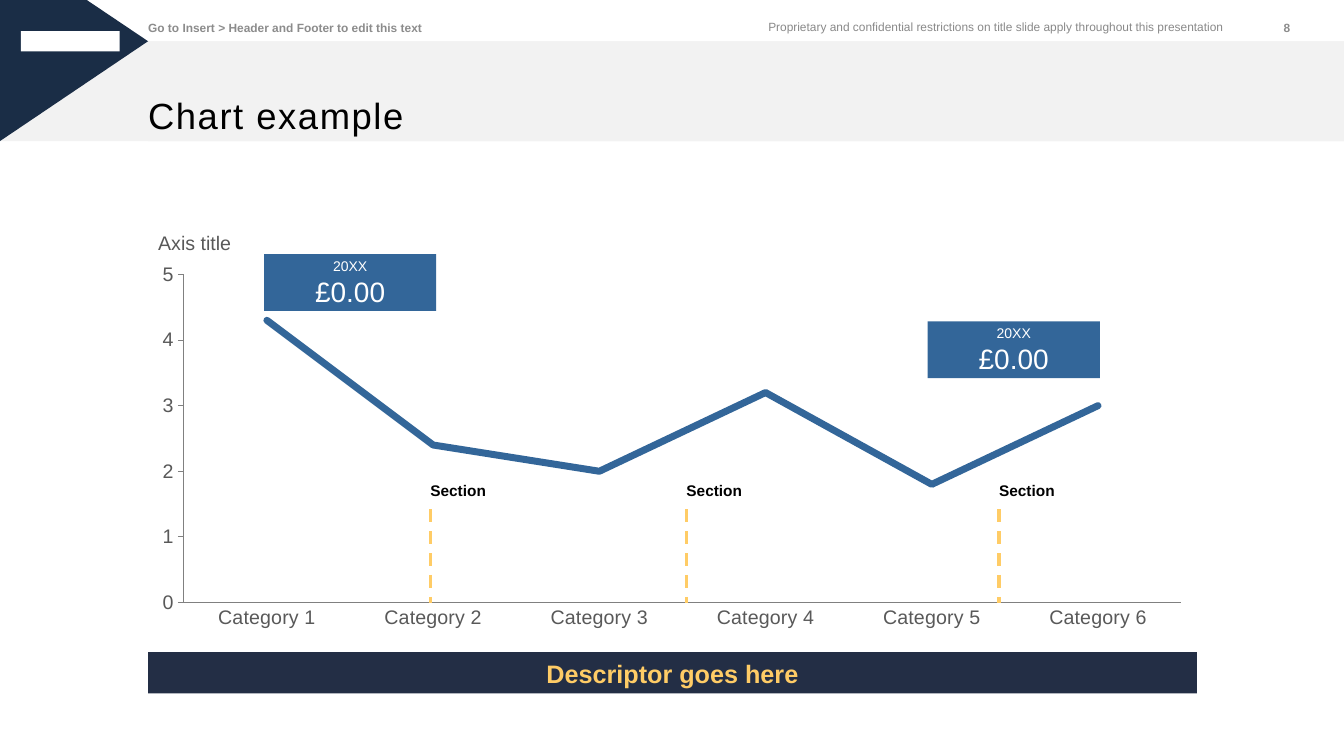
from lxml import etree
from pptx import Presentation
from pptx.chart.data import CategoryChartData
from pptx.dml.color import RGBColor
from pptx.enum.chart import XL_CHART_TYPE, XL_MARKER_STYLE, XL_TICK_MARK
from pptx.enum.dml import MSO_LINE
from pptx.enum.shapes import MSO_CONNECTOR, MSO_SHAPE
from pptx.enum.text import MSO_ANCHOR, MSO_AUTO_SIZE, PP_ALIGN
from pptx.oxml import parse_xml
from pptx.oxml.ns import nsdecls, qn
from pptx.util import Pt

FONT = "Arial"
C = {"white": "FFFFFF", "black": "000000", "band": "F2F2F2", "corner": "1A2D46",
     "navy": "232E45", "blue": "336699", "yellow": "FFCC66", "label": "595959",
     "axis": "808080", "notice": "898989", "footer": "8C8C8C"}


def rgb(name):
    return RGBColor.from_string(C[name])


def pts(*values):
    return [Pt(v) for v in values]


def set_font(font, size, color, bold=False):
    font.name, font.size, font.bold = FONT, Pt(size), bold
    font.color.rgb = rgb(color)


def write(tf, text, size, color, bold=False, align=PP_ALIGN.LEFT, spacing=None,
          gap=0, track=None, new=False):
    p = tf.add_paragraph() if new else tf.paragraphs[0]
    p.alignment, p.line_spacing = align, spacing
    p.space_before = p.space_after = Pt(gap)
    r = p.add_run()
    r.text = text
    set_font(r.font, size, color, bold)
    if track:
        r.font._element.set("spc", str(track))


def frame(tf, anchor=MSO_ANCHOR.TOP, insets=(0, 0, 0, 0)):
    tf.word_wrap, tf.auto_size = True, MSO_AUTO_SIZE.NONE
    tf.vertical_anchor = anchor
    tf.margin_left, tf.margin_top, tf.margin_right, tf.margin_bottom = pts(*insets)


def paint(sp, color):
    sp.shadow.inherit = False
    sp.fill.solid()
    sp.fill.fore_color.rgb = rgb(color)
    sp.line.fill.background()


def add_text(s, box, text, size, color, **fmt):
    tf = s.shapes.add_textbox(*pts(*box)).text_frame
    frame(tf)
    write(tf, text, size, color, **fmt)


def add_box(s, box, color):
    sp = s.shapes.add_shape(MSO_SHAPE.RECTANGLE, *pts(*box))
    paint(sp, color)
    frame(sp.text_frame, MSO_ANCHOR.MIDDLE, (7.2, 3.6, 7.2, 3.6))
    return sp


def add_header(s, box, title):
    x, y, w, h = box
    left, top, band_h = x + 105.8, y + 29.5, h - 29.5
    band = add_box(s, (x, top, w, band_h), "band")
    fb = s.shapes.build_freeform(Pt(x), Pt(y + h))
    fb.add_line_segments([pts(left, top), pts(x + 62, y), pts(x, y)], close=True)
    paint(fb.convert_to_shape(), "corner")
    add_box(s, (x + 15, y + 22.3, 70.5, 14.4), "white")
    add_text(s, (x + 436.3, y + 13.7, 437.8, 15),
             "Proprietary and confidential restrictions on title slide apply "
             "throughout this presentation",
             8.5, "notice", align=PP_ALIGN.RIGHT, spacing=1.02)
    add_text(s, (left, y + 14.4, 202.3, 12.2),
             "Go to Insert > Header and Footer to edit this text", 8.5, "footer", bold=True)
    add_text(s, (x + 894.2, y + 14.4, 27.4, 12.2), "8", 8.5, "footer", bold=True,
             align=PP_ALIGN.RIGHT)
    sp = s.shapes.title
    band.element.addnext(sp.element)
    sp.left, sp.top, sp.width, sp.height = pts(left, top, w - 105.8, band_h)
    paint(sp, "band")
    frame(sp.text_frame, MSO_ANCHOR.BOTTOM, (0, 0, 0, 2.9))
    write(sp.text_frame, title, 26, "black", track=110)


def add_line_chart(s, box, values):
    cd = CategoryChartData(number_format="General")
    cd.categories = [f"Category {i}" for i in range(1, len(values) + 1)]
    cd.add_series("Series 1", values)
    chart = s.shapes.add_chart(XL_CHART_TYPE.LINE, *pts(*box), cd).chart
    chart.has_legend = chart.has_title = False
    set_font(chart.font, 14, "black")
    plot = chart.plots[0]
    plot.vary_by_categories = False
    ser = plot.series[0]
    ser.smooth = False
    ser.marker.style = XL_MARKER_STYLE.NONE
    ser.format.line.color.rgb = rgb("blue")
    ser.format.line.width = Pt(5)
    ser.format.line._ln.set("cap", "rnd")
    for axis, tick in ((chart.category_axis, XL_TICK_MARK.NONE),
                       (chart.value_axis, XL_TICK_MARK.OUTSIDE)):
        axis.has_major_gridlines = False
        axis.major_tick_mark, axis.minor_tick_mark = tick, XL_TICK_MARK.NONE
        axis.format.line.color.rgb = rgb("axis")
        axis.format.line.width = Pt(0.75)
        set_font(axis.tick_labels.font, 14, "label")
    va = chart.value_axis
    va.minimum_scale, va.maximum_scale, va.major_unit = 0, 5, 1
    va.tick_labels.number_format = "0"
    va.tick_labels.number_format_is_linked = False
    area = plot._element.getparent()
    for old in area.findall(qn("c:layout")):
        area.remove(old)
    place = {"layoutTarget": "inner", "xMode": "edge", "yMode": "edge",
             "x": 0.034, "y": 0.107, "w": 0.951, "h": 0.806}
    inner = "".join(f'<c:{k} val="{v}"/>' for k, v in place.items())
    area.insert(0, parse_xml(f'<c:layout {nsdecls("c")}><c:manualLayout>{inner}'
                             '</c:manualLayout></c:layout>'))


def add_callout(s, box, year, amount):
    tf = add_box(s, box, "blue").text_frame
    for text, size, new in ((year, 10, False), (amount, 20, True)):
        write(tf, text, size, "white", align=PP_ALIGN.CENTER, spacing=1.02, new=new)


def add_section(s, box, text):
    x, y, w, h = box
    cx = s.shapes.add_connector(MSO_CONNECTOR.STRAIGHT, *pts(x, y + 20.2, x, y + h))
    cx.line.color.rgb = rgb("yellow")
    cx.line.width = Pt(2.25)
    cx.line.dash_style = MSO_LINE.DASH
    etree.SubElement(cx.element.spPr, qn("a:effectLst"))
    add_text(s, (x, y, w, 13), text, 11, "black", bold=True, spacing=1.02)


def add_chart_region(s, box):
    x, y, w, h = box
    add_line_chart(s, (x, y, w, 290.9), (4.3, 2.4, 2, 3.2, 1.8, 3))
    add_text(s, (x + 7.2, y, 113, 16.6), "Axis title", 14, "label", spacing=1.02)
    descriptor = add_box(s, (x, y + h - 29.5, w, 29.5), "navy")
    write(descriptor.text_frame, "Descriptor goes here", 18, "yellow", bold=True,
          align=PP_ALIGN.CENTER, spacing=1.02, gap=5)
    for dx, dy in ((82.8, 16.6), (556.8, 64.6)):
        add_callout(s, (x + dx, y + dy, 123, 40.6), "20XX", "£0.00")
    for dx in (201.6, 384.5, 607.8):
        add_section(s, (x + dx, y + 178.6, 118.8, 87.1), "Section")


prs = Presentation()
prs.slide_width, prs.slide_height = pts(960, 540)
s = prs.slides.add_slide(prs.slide_layouts[5])
add_header(s, (0, 0, 960, 100.8), "Chart example")
add_chart_region(s, (105.8, 164.9, 749.2, 330.4))
prs.save("out.pptx")
